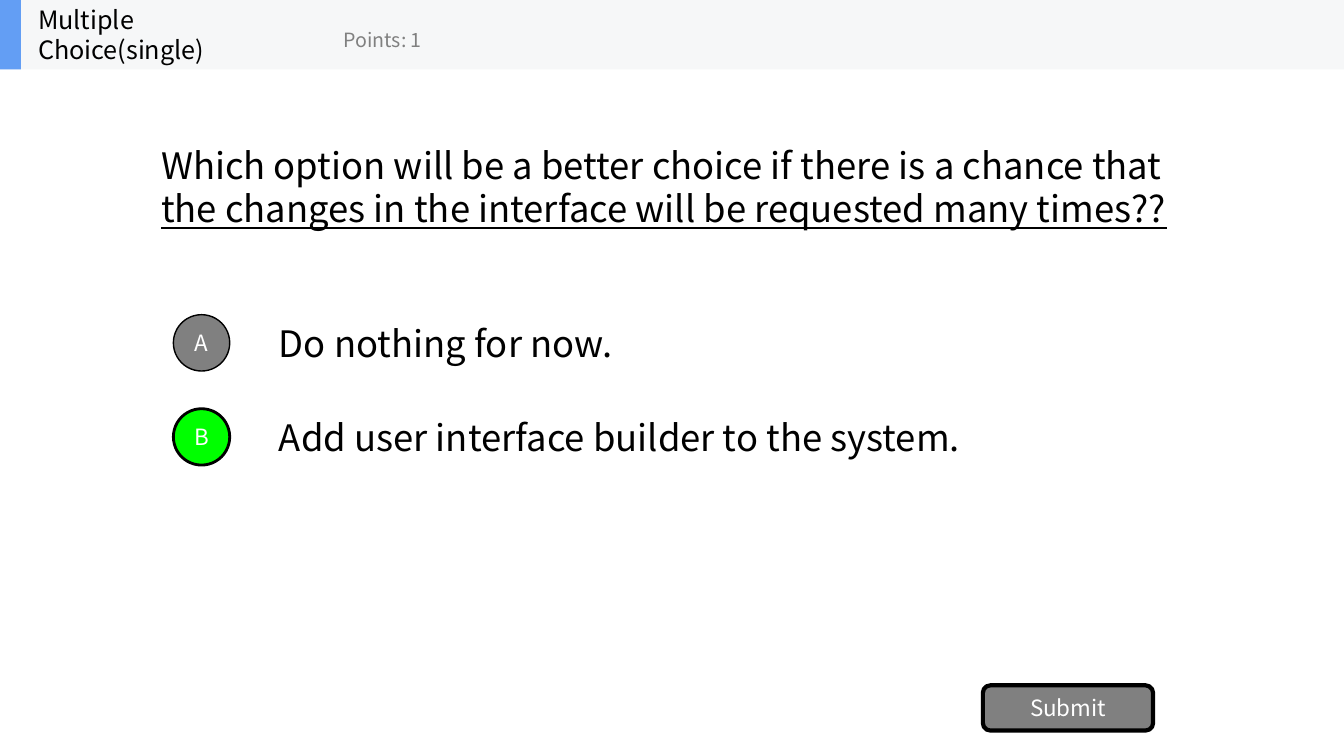
from pptx import Presentation
from pptx import util as u
from pptx.dml.color import RGBColor
from pptx.enum import shapes, text

FONT = "Noto Sans CJK SC"
KIND = shapes.MSO_SHAPE
MID = text.PP_ALIGN.CENTER


def paint(fill, color):
    """Give a fill one solid colour."""
    fill.solid()
    fill.fore_color.rgb = RGBColor.from_string(color)


def write(frame, *parts, size=26, color="000000", align=None, wrap=True, last_line=False):
    """Write the parts as runs of one paragraph, the last one underlined if asked."""
    frame.word_wrap = wrap
    frame.vertical_anchor = text.MSO_ANCHOR.MIDDLE
    para = frame.paragraphs[0]
    para.alignment = align
    for part in parts:
        run = para.add_run()
        run.text = part
        run.font.size = u.Pt(size)
        run.font.name = FONT
        run.font.color.rgb = RGBColor.from_string(color)
    if last_line:
        run.font.underline = True


def label(slide, box, *parts, **form):
    """Add a text box, given its box in centimetres."""
    area = slide.shapes.add_textbox(*map(u.Cm, box))
    write(area.text_frame, *parts, **form)


def block(slide, kind, box, color, edge=0, words=None):
    """Add a filled shape with an optional black edge and white words."""
    shape = slide.shapes.add_shape(kind, *map(u.Cm, box))
    shape.shadow.inherit = False
    paint(shape.fill, color)
    if edge:
        paint(shape.line.fill, "000000")
        shape.line.width = u.Pt(edge)
    else:
        shape.line.fill.background()
    if words:
        frame = shape.text_frame
        frame.margin_left = frame.margin_right = 0
        frame.margin_top = frame.margin_bottom = 0
        write(frame, words, size=16, color="FFFFFF", align=MID)


def header(slide, x, y, w, h):
    """Draw the top bar with the question type and its points."""
    block(slide, KIND.RECTANGLE, (x, y, w, h), "F6F7F8")
    block(slide, KIND.RECTANGLE, (x, y, 0.53, h), "639EF4")
    label(slide, (x + 0.71, y, 5.28, h), "Multiple Choice(single)", size=18, wrap=False)
    label(slide, (x + 8.41, y + 0.3, 6.35, 1.42), "Points: 1",
          size=14, color="808080", wrap=False)


def option(slide, x, y, w, h, mark, words, right):
    """Draw one answer with its round mark, green if it is right."""
    size = 1.42
    label(slide, (x + 2.41, y, w - 2.41, h), words)
    color, edge = ("00FF00", 2) if right else ("808080", 1)
    block(slide, KIND.OVAL, (x, y + (h - size) / 2, size, size), color, edge, mark)


def answers(slide, x, y, w, h, step, items):
    """Stack the answers at equal steps."""
    for row, item in enumerate(items):
        option(slide, x, y + row * step, w, h, *item)


def main():
    """Build the slide and save it."""
    deck = Presentation()
    deck.slide_width, deck.slide_height = u.Cm(33.87), u.Cm(19.05)
    slide = deck.slides.add_slide(deck.slide_layouts[6])
    label(slide, (3.81, 1.73, 27.1, 5.94),
          "Which option will be a better choice if there is a chance that ",
          "the changes in the interface will be requested many times??",
          last_line=True)
    answers(slide, 4.37, 7.75, 26.11, 1.78, 2.37, [
        ("A", "Do nothing for now.", False),
        ("B", "Add user interface builder to the system.", True),
    ])
    block(slide, KIND.ROUNDED_RECTANGLE, (24.77, 17.27, 4.29, 1.14), "808080", 3, "Submit")
    header(slide, 0, 0, 33.87, 1.75)
    deck.save("out.pptx")


if __name__ == "__main__":
    main()
